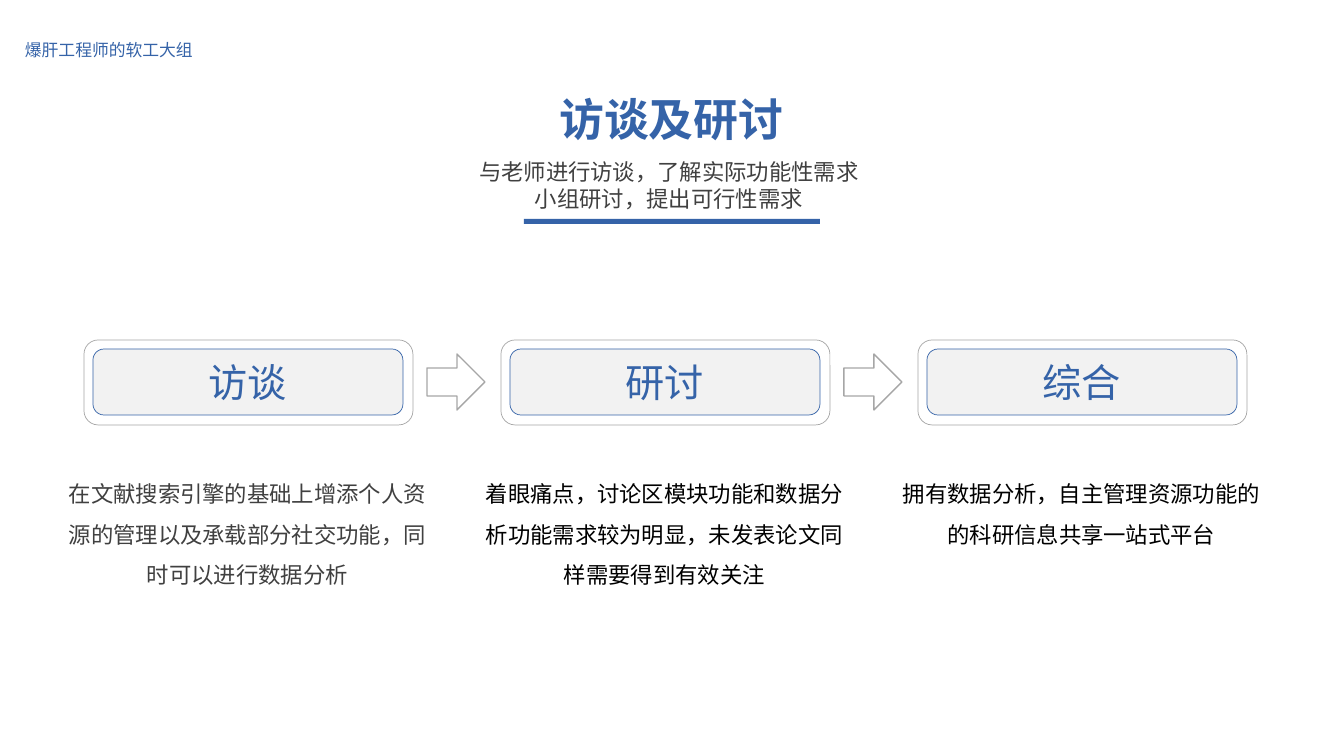
from pptx import Presentation
from pptx.dml.color import RGBColor
from pptx.enum.shapes import MSO_SHAPE
from pptx.enum.text import MSO_ANCHOR, PP_ALIGN
from pptx.util import Pt

PX = 9071.43
BLUE = RGBColor(0x35, 0x63, 0xA8)
DARK = RGBColor(0x40, 0x40, 0x40)
BLACK = RGBColor(0, 0, 0)
GRAY = RGBColor(0xA6, 0xA6, 0xA6)
PALE = RGBColor(0xF2, 0xF2, 0xF2)

STEP = 417
HEADING = {"size": Pt(32), "bold": True}
BODY = {"size": Pt(16)}
LABEL = {"size": Pt(28)}
GROUP_NAME = {"size": Pt(12), "name": "Arial"}

STAGES = [
    ("访谈", "在文献搜索引擎的基础上增添个人资源的管理以及承载部分社交功能，同时可以进行数据分析", DARK, 132),
    ("研讨", "着眼痛点，讨论区模块功能和数据分析功能需求较为明显，未发表论文同样需要得到有效关注", BLACK, 132),
    ("综合", "拥有数据分析，自主管理资源功能的的科研信息共享一站式平台", BLACK, 92),
]

deck = Presentation()
deck.slide_width = round(1344 * PX)
deck.slide_height = round(756 * PX)
page = deck.slides.add_slide(deck.slide_layouts[6])


def write(box, lines, style, color, align=PP_ALIGN.CENTER, spacing=None, wrap=True):
    frame = box.text_frame
    frame.word_wrap = wrap
    for index, line in enumerate(lines):
        para = frame.add_paragraph() if index else frame.paragraphs[0]
        para.alignment = align
        para.line_spacing = spacing
        span = para.add_run()
        span.text = line
        for key, value in ({"name": "Courier New"} | style).items():
            setattr(span.font, key, value)
        span.font.color.rgb = color


def draw(kind, bounds, fill=None, line=None, weight=0.5):
    shape = page.shapes.add_shape(kind, *[round(value * PX) for value in bounds])
    shape.shadow.inherit = False
    for part, color in ((shape.fill, fill), (shape.line.fill, line)):
        if color is None:
            part.background()
        else:
            part.solid()
            part.fore_color.rgb = color
    if line is not None:
        shape.line.width = Pt(weight)
    return shape


headers = [
    ((405, 87, 533, 65), ["访谈及研讨"], HEADING, BLUE, {}),
    ((358, 153, 622, 65), ["与老师进行访谈，了解实际功能性需求", "小组研讨，提出可行性需求"], BODY, DARK, {}),
    ((15, 35, 188, 30), ["爆肝工程师的软工大组"], GROUP_NAME, BLUE, {"align": PP_ALIGN.LEFT, "wrap": False}),
]
for bounds, lines, style, color, options in headers:
    box = page.shapes.add_textbox(*[round(value * PX) for value in bounds])
    write(box, lines, style, color, **options)

draw(MSO_SHAPE.RECTANGLE, (524, 219, 296, 5), fill=BLUE)

for index, (label, caption, color, height) in enumerate(STAGES):
    shift = index * STEP
    button = draw(MSO_SHAPE.ROUNDED_RECTANGLE, (93 + shift, 349, 310, 66), PALE, BLUE)
    button.text_frame.vertical_anchor = MSO_ANCHOR.MIDDLE
    write(button, [label], LABEL, BLUE)
    draw(MSO_SHAPE.ROUNDED_RECTANGLE, (84 + shift, 340, 329, 85), line=GRAY)
    bounds = (56 + shift, 462, 383, height)
    box = page.shapes.add_textbox(*[round(value * PX) for value in bounds])
    write(box, [caption], BODY, color, spacing=1.5)
    if index < len(STAGES) - 1:
        draw(MSO_SHAPE.RIGHT_ARROW, (427 + shift, 354, 58, 56), line=GRAY, weight=1)

deck.save("out.pptx")
